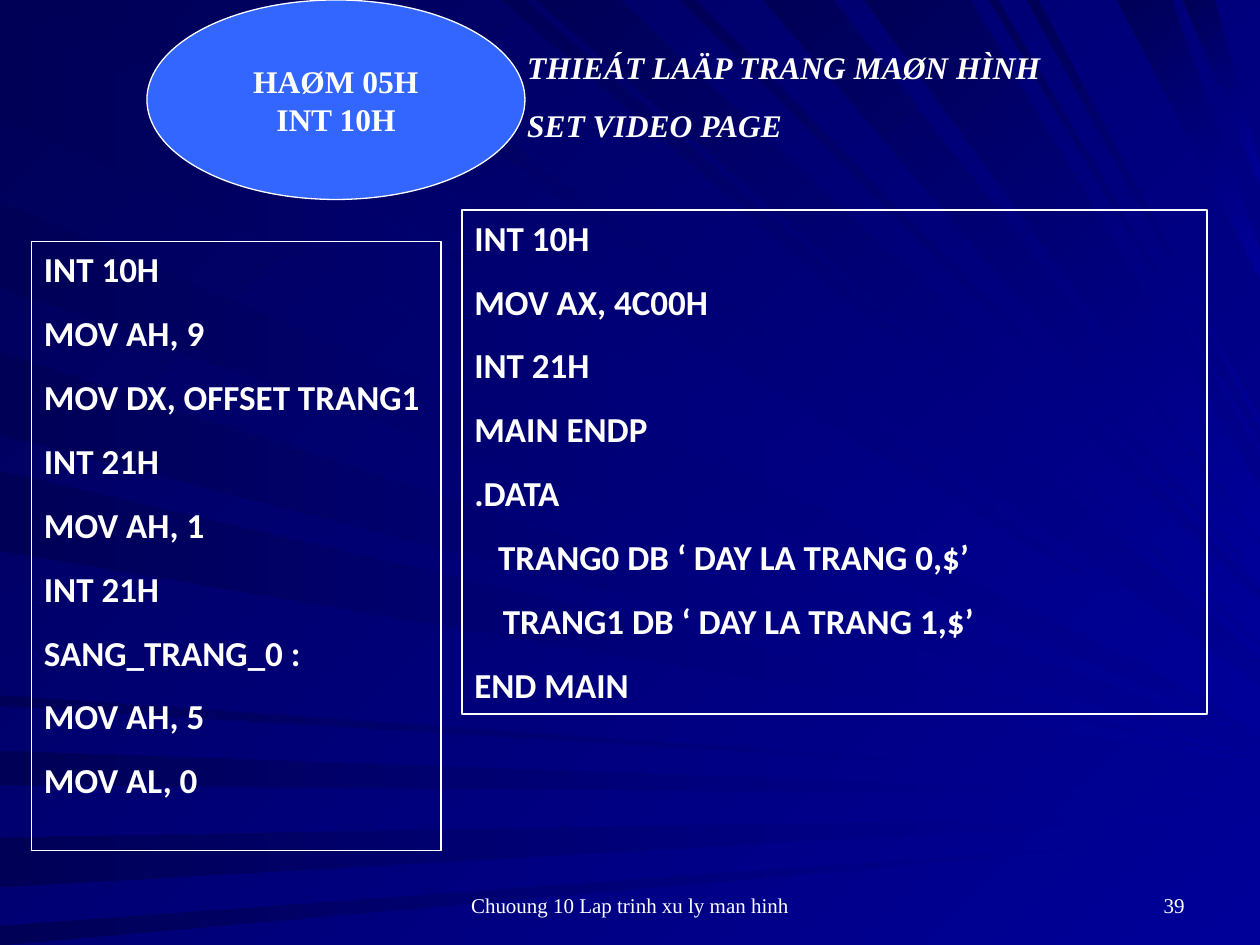
from pptx import Presentation
from pptx.dml.color import RGBColor
from pptx.enum.shapes import MSO_SHAPE as Preset
from pptx.enum.text import MSO_ANCHOR as Anchor, MSO_AUTO_SIZE as AutoSize, PP_ALIGN as Align
from pptx.util import Inches, Pt

THEME = {
    "text": "FFFFFF", "oval": "3366FF", "bright": "000099", "dark": "000057",
    "heading": {"name": "Times New Roman", "size": Pt(18), "bold": True, "italic": False},
    "title": {"name": "Times New Roman", "size": Pt(18), "bold": True, "italic": True},
    "code": {"name": "Calibri", "size": Pt(20), "bold": True, "italic": False},
    "indent": {"name": "Calibri", "size": Pt(18), "bold": False, "italic": False},
    "footer": {"name": "Times New Roman", "size": Pt(12), "bold": False, "italic": False},
}
COLUMNS, ROWS = 120, 90

# Background rays in inches: start and end on the slide's edge, height of the tip at the right
LEFT_RAYS = [(0.02, 0.93, 5.7), (1.59, 2.28, 5.85), (2.8, 3.45, 6.03), (3.74, 4.37, 6.06),
             (5.52, 5.6, 6.22), (5.96, 6.23, 6.31), (6.65, 7.04, 6.47), (7.35, 7.5, 6.62)]
TOP_RAYS = [(0.26, 1.01, 5.63), (2.25, 2.47, 5.5), (3.98, 4.16, 5.18), (4.26, 4.92, 4.93),
            (5.4, 5.52, 4.63), (6.06, 6.61, 4.46), (6.86, 7.7, 4.09), (7.85, 7.92, 3.57),
            (8.15, 8.24, 3.36), (8.87, 9.3, 2.1), (9.39, 9.64, 1.4)]

LEFT_CODE = ["INT 10H", "MOV AH, 9", "MOV DX, OFFSET TRANG1", "INT 21H", "MOV AH, 1",
             "INT 21H", "SANG_TRANG_0 :", "MOV AH, 5", "MOV AL, 0"]
RIGHT_CODE = ["INT 10H", "MOV AX, 4C00H", "INT 21H", "MAIN ENDP", ".DATA",
              "   TRANG0 DB ‘ DAY LA TRANG 0,$’",
              [("    ", "indent"), ("TRANG1 DB ‘ DAY LA TRANG 1,$’", "code")],
              "END MAIN"]


def paint_gradient(fill, direction):
    """Fade from bright to dark; the direction is in degrees, clockwise."""
    fill.gradient()
    fill.gradient_angle = 360 - direction
    for stop, colour in zip(fill.gradient_stops, ("bright", "dark")):
        stop.color.rgb = RGBColor.from_string(THEME[colour])


def write(shape, lines, style, align=Align.LEFT, anchor=Anchor.TOP, gap=0, wrap=True):
    """Write one paragraph per line; a line is a string or a list of (text, style) runs."""
    frame = shape.text_frame
    frame.word_wrap = wrap
    frame.auto_size = AutoSize.NONE
    frame.vertical_anchor = anchor
    for number, line in enumerate(lines):
        paragraph = frame.add_paragraph() if number else frame.paragraphs[0]
        paragraph.alignment = align
        paragraph.space_before = Pt(gap if number else 0)
        for text, run_style in [(line, style)] if isinstance(line, str) else line:
            run = paragraph.add_run()
            run.text = text
            for attribute, value in THEME[run_style].items():
                setattr(run.font, attribute, value)
            run.font.color.rgb = RGBColor.from_string(THEME["text"])


presentation = Presentation()
presentation.slide_width, presentation.slide_height = Inches(10), Inches(7.5)
column = presentation.slide_width // COLUMNS
row = presentation.slide_height // ROWS
slide = presentation.slides.add_slide(presentation.slide_layouts[5])
paint_gradient(slide.background.fill, 225)

# Rays, behind everything else: those from the left taper to a point, those from the top to half
title = slide.shapes.title
rays = slide.shapes.add_group_shape()
title._element.addprevious(rays._element)
right = presentation.slide_width
for from_left, edge_rays in [(True, LEFT_RAYS), (False, TOP_RAYS)]:
    for ray_lengths in edge_rays:
        start, end, tip = map(Inches, ray_lengths)
        if from_left:
            corners = [(0, start), (0, end), (right, tip)]
        else:
            spread = (end - start) // 4
            corners = [(start, 0), (end, 0), (right, tip - spread), (right, tip + spread)]
        builder = rays.shapes.build_freeform(*corners[0])
        builder.add_line_segments(corners[1:], close=True)
        ray = builder.convert_to_shape()
        ray.shadow.inherit = False
        ray.line.fill.background()
        paint_gradient(ray.fill, 180 if from_left else 225)

# Heading
oval = slide.shapes.add_shape(Preset.OVAL, 14 * column, 0, 36 * column, 19 * row)
oval.shadow.inherit = False
oval.fill.solid()
oval.fill.fore_color.rgb = RGBColor.from_string(THEME["oval"])
oval.line.color.rgb = RGBColor.from_string(THEME["text"])
oval.line.width = Pt(0.75)
write(oval, ["HAØM 05H", "INT 10H"], "heading", Align.CENTER, Anchor.MIDDLE, wrap=False)

title.left, title.top, title.width, title.height = 49 * column, 4 * row, 58 * column, 10 * row
write(title, ["THIEÁT LAÄP TRANG MAØN HÌNH", "SET VIDEO PAGE"], "title", gap=11.2)

# Code listings
for left, top, width, height, code in [(3, 23, 39, 58, LEFT_CODE), (44, 20, 71, 48, RIGHT_CODE)]:
    listing = slide.shapes.add_shape(
        Preset.RECTANGLE, left * column, top * row, width * column, height * row)
    listing.shadow.inherit = False
    listing.fill.background()
    listing.line.color.rgb = RGBColor.from_string(THEME["text"])
    listing.line.width = Pt(1)
    write(listing, code, "code", gap=12.5)

# Footer and slide number
for left, width, text, align in [
    (41, 38, "Chuoung 10 Lap trinh xu ly man hinh", Align.CENTER),
    (86, 28, "39", Align.RIGHT),
]:
    footer = slide.shapes.add_textbox(left * column, 82 * row, width * column, 6 * row)
    write(footer, [text], "footer", align, Anchor.BOTTOM)

presentation.save("out.pptx")
